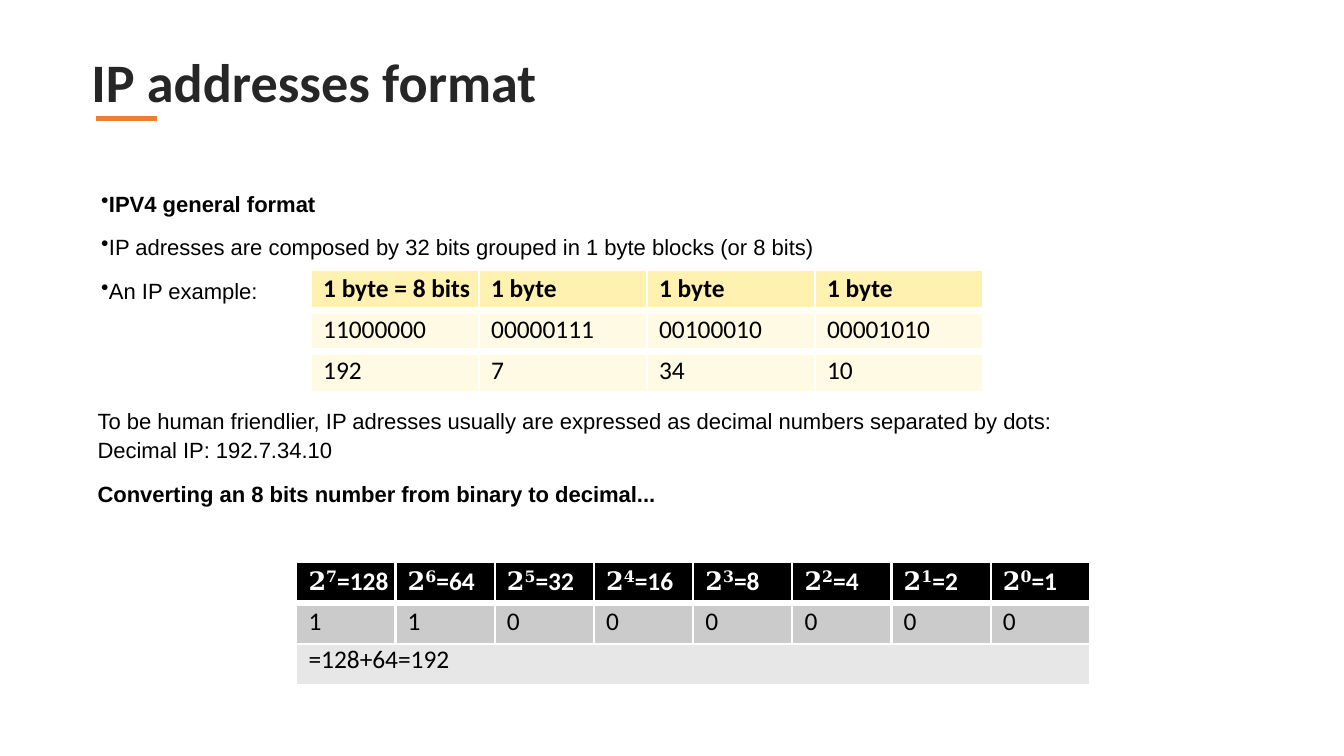
from pptx import Presentation
from pptx.dml.color import RGBColor
from pptx.enum.shapes import MSO_CONNECTOR
from pptx.enum.text import MSO_ANCHOR
from pptx.oxml.ns import qn
from pptx.util import Inches, Pt
from lxml.etree import SubElement

BLACK = RGBColor(0x00, 0x00, 0x00)
WHITE = RGBColor(0xFF, 0xFF, 0xFF)
TITLE_GREY = RGBColor(0x26, 0x26, 0x26)
ORANGE = RGBColor(0xED, 0x7D, 0x31)
GOLD = RGBColor(0xFF, 0xF1, 0xAF)
CREAM = RGBColor(0xFF, 0xFA, 0xE3)
GREY = RGBColor(0xCB, 0xCB, 0xCB)
LIGHT_GREY = RGBColor(0xE7, 0xE7, 0xE7)

THIN, THICK = 1.5, 4.25
EXPONENTS = "𝟕𝟔𝟓𝟒𝟑𝟐𝟏𝟎"


def add_run(paragraph, text, size, font, color=BLACK, bold=False, baseline=0):
    run = paragraph.add_run()
    run.text = text
    run.font.size = Pt(size)
    run.font.name = font
    run.font.bold = bold
    run.font.color.rgb = color
    if baseline:
        run.font._element.set("baseline", str(baseline * 1000))


def indent(paragraph, left, first=0):
    properties = paragraph._p.get_or_add_pPr()
    properties.set("marL", str(Inches(left)))
    properties.set("indent", str(Inches(first)))
    return properties


def add_frame(slide, left, top, width, height, inset_top=0):
    box = slide.shapes.add_textbox(Inches(left), Inches(top), Inches(width), Inches(height))
    frame = box.text_frame
    frame.word_wrap = True
    frame.margin_left = frame.margin_right = frame.margin_bottom = 0
    frame.margin_top = Inches(inset_top)
    return frame


def add_paragraphs(frame, lines):
    for index, (text, bold, space, pitch) in enumerate(lines):
        paragraph = frame.add_paragraph() if index else frame.paragraphs[0]
        paragraph.space_before = Pt(space)
        if pitch:
            paragraph.line_spacing = Pt(pitch)
        indent(paragraph, 0.01)
        add_run(paragraph, text, 13, "Arial", bold=bold)


def add_title(slide, left, top, width, height):
    frame = add_frame(slide, left, top, width, height)
    frame.vertical_anchor = MSO_ANCHOR.MIDDLE
    heading = frame.paragraphs[0]
    heading.line_spacing = 0.9
    add_run(heading, "IP addresses format", 32, "Calibri", TITLE_GREY, True)
    start, level = Inches(left + 0.04), Inches(top + 0.7)
    underline = slide.shapes.add_connector(
        MSO_CONNECTOR.STRAIGHT, start, level, start + Inches(0.5), level)
    underline.line.color.rgb = ORANGE
    underline.line.width = Pt(3)
    SubElement(underline._element.spPr, qn("a:effectLst"))


def add_format_points(slide, left, top, width, height):
    frame = add_frame(slide, left, top, width, height, 0.01)
    add_paragraphs(frame, [
        ("IPV4 general format", True, 0.8, None),
        ("IP adresses are composed by 32 bits grouped in 1 byte blocks (or 8 bits)", False, 10, None),
        ("An IP example:", False, 10, None),
    ])
    for paragraph in frame.paragraphs:
        SubElement(indent(paragraph, 0.01, -0.25), qn("a:buChar"), char="•")


def add_explanation(slide, left, top, width, height):
    add_paragraphs(add_frame(slide, left, top, width, height, 0.02), [
        ("To be human friendlier, IP adresses usually are expressed as "
         "decimal numbers separated by dots:", False, 1.5, 15.7),
        ("Decimal IP: 192.7.34.10", False, 1.5, 15.7),
        ("Converting an 8 bits number from binary to decimal...", True, 10.5, None),
    ])


def set_borders(cell, top, bottom):
    properties = cell._tc.get_or_add_tcPr()
    for side, weight in (("L", THIN), ("R", THIN), ("T", top), ("B", bottom)):
        border = SubElement(properties, qn(f"a:ln{side}"), w=str(Pt(weight)))
        fill = SubElement(border, qn("a:solidFill"))
        SubElement(fill, qn("a:srgbClr"), val=str(WHITE))


def add_grid(slide, left, top, width, height, columns, fills, rules):
    table = slide.shapes.add_table(
        len(fills), columns, Inches(left), Inches(top), Inches(width), Inches(height)).table
    table.first_row = table.horz_banding = False
    for row, fill in enumerate(fills):
        for cell in table.rows[row].cells:
            cell.margin_left = cell.margin_right = cell.margin_bottom = 0
            cell.margin_top = Inches(0.03)
            set_borders(cell, rules[row], rules[row + 1])
            cell.fill.solid()
            cell.fill.fore_color.rgb = fill
            paragraph = cell.text_frame.paragraphs[0]
            paragraph.space_before = Pt(2.6)
            indent(paragraph, 0.1)
    return table


def fill_row(table, row, texts, bold=False):
    for column, text in enumerate(texts):
        paragraph = table.cell(row, column).text_frame.paragraphs[0]
        add_run(paragraph, text, 15, "Calibri", bold=bold)


def add_byte_table(slide, left, top, width, height):
    table = add_grid(slide, left, top, width, height, 4,
                     (GOLD, CREAM, CREAM), (THIN, THICK, THICK, THIN))
    fill_row(table, 0, ["1 byte = 8 bits"] + ["1 byte"] * 3, bold=True)
    fill_row(table, 1, ["11000000", "00000111", "00100010", "00001010"])
    fill_row(table, 2, ["192", "7", "34", "10"])


def add_power_table(slide, left, top, width, height):
    bits = "11000000"
    table = add_grid(slide, left, top, width, height, len(bits),
                     (BLACK, GREY, LIGHT_GREY), (THIN, THICK, THIN, THIN))
    for column, exponent in enumerate(EXPONENTS):
        power = table.cell(0, column).text_frame.paragraphs[0]
        value = 2 ** (len(bits) - 1 - column)
        add_run(power, "𝟐", 15, "Cambria", WHITE)
        add_run(power, exponent, 16, "Cambria", WHITE, baseline=28)
        add_run(power, f"={value}", 15, "Calibri", WHITE, True)
    fill_row(table, 1, bits)
    total = table.cell(2, 0)
    total.merge(table.cell(2, len(bits) - 1))
    total.margin_top = 0
    fill_row(table, 2, ["=128+64=192"])


def main():
    deck = Presentation()
    deck.slide_width, deck.slide_height = Inches(11.02), Inches(6.2)
    slide = deck.slides.add_slide(deck.slide_layouts[6])
    add_format_points(slide, 0.83, 1.55, 9.21, 0.95)
    add_byte_table(slide, 2.55, 2.21, 5.51, 1.01)
    add_explanation(slide, 0.79, 3.32, 8.28, 0.86)
    add_power_table(slide, 2.43, 4.61, 6.51, 1.01)
    add_title(slide, 0.75, 0.27, 9.51, 0.85)
    deck.save("out.pptx")


if __name__ == "__main__":
    main()
